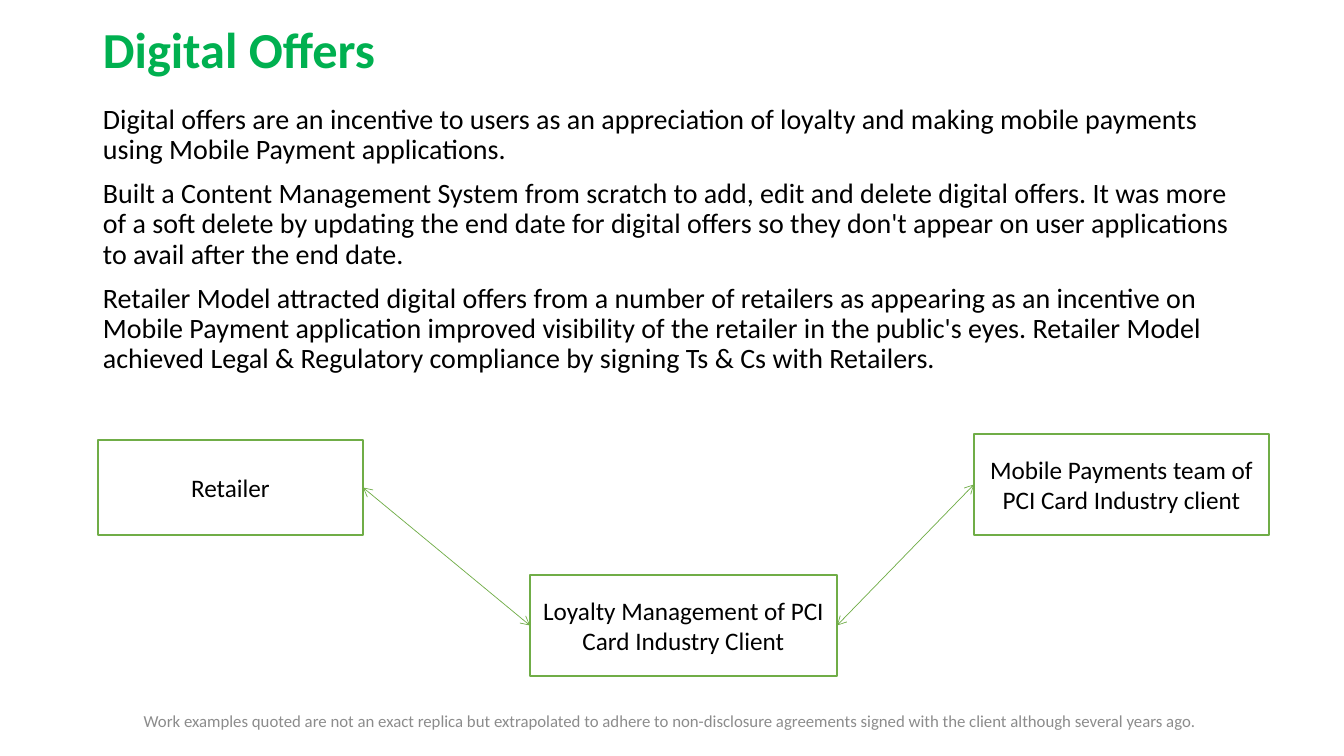
from lxml.etree import SubElement
from pptx import Presentation
from pptx.dml.color import RGBColor
from pptx.enum.shapes import MSO_CONNECTOR as Connector, MSO_SHAPE as Shape
from pptx.enum.text import MSO_ANCHOR as Anchor, PP_ALIGN as Align
from pptx.oxml.ns import qn
from pptx.util import Pt

WIDTH, HEIGHT = 1344, 756
SCALE = 12192000 / WIDTH
FONT = "Calibri"
COLORS = {"title": "00B050", "text": "000000", "note": "8C8C8C",
          "box": "FFFFFF", "line": "70AD47"}
LEFT, RIGHT = 1, 3

TITLE = "Digital Offers"
POINTS = [
    "Digital offers are an incentive to users as an appreciation of loyalty and "
    "making mobile payments using Mobile Payment applications. ",
    "Built a Content Management System from scratch to add, edit and delete digital "
    "offers. It was more of a soft delete by updating the end date for digital offers "
    "so they don't appear on user applications to avail after the end date.",
    "Retailer Model attracted digital offers from a number of retailers as appearing "
    "as an incentive on Mobile Payment application improved visibility of the retailer "
    "in the public's eyes. Retailer Model achieved Legal & Regulatory compliance by "
    "signing Ts & Cs with Retailers.",
]
DISCLAIMER = ("Work examples quoted are not an exact replica but extrapolated to adhere "
              "to non-disclosure agreements signed with the client although several "
              "years ago.")
PARTIES = {
    "loyalty": ("Loyalty Management of PCI Card Industry Client", (432, 141, 307, 101)),
    "retailer": ("Retailer", (0, 6, 265, 95)),
    "payments": ("Mobile Payments team of PCI Card Industry client", (876, 0, 295, 101)),
}
FLOWS = [("retailer", "loyalty"), ("loyalty", "payments")]


def emu(pixels):
    return round(pixels * SCALE)


def color(name):
    return RGBColor.from_string(COLORS[name])


def write(frame, paragraphs, size, tint="text", bold=False, align=Align.LEFT,
          anchor=Anchor.MIDDLE, spacing=1.0, before=0):
    frame.word_wrap = True
    frame.vertical_anchor = anchor
    for index, words in enumerate(paragraphs):
        paragraph = frame.add_paragraph() if index else frame.paragraphs[0]
        paragraph.alignment = align
        paragraph.line_spacing = spacing
        paragraph.space_before = Pt(before)
        run = paragraph.add_run()
        run.text = words
        run.font.name = FONT
        run.font.size = Pt(size)
        run.font.bold = bold
        run.font.color.rgb = color(tint)


def add_text(slide, box, paragraphs, size, **style):
    area = slide.shapes.add_textbox(*map(emu, box))
    write(area.text_frame, paragraphs, size, **style)


def add_heading(slide, box):
    add_text(slide, box, [TITLE], 36, tint="title", bold=True, spacing=0.9)


def add_points(slide, box):
    add_text(slide, box, POINTS, 20, anchor=Anchor.TOP, spacing=0.9, before=10)


def add_disclaimer(slide, box):
    add_text(slide, box, [DISCLAIMER], 12, tint="note", align=Align.CENTER)


def add_party(slide, box, label):
    party = slide.shapes.add_shape(Shape.RECTANGLE, *map(emu, box))
    party.shadow.inherit = False
    party.fill.solid()
    party.fill.fore_color.rgb = color("box")
    party.line.color.rgb = color("line")
    party.line.width = Pt(1)
    write(party.text_frame, [label], 18, align=Align.CENTER)
    return party


def add_flow(slide, source, target):
    flow = slide.shapes.add_connector(Connector.STRAIGHT, 0, 0, 0, 0)
    flow.begin_connect(source, RIGHT)
    flow.end_connect(target, LEFT)
    flow.line.color.rgb = color("line")
    flow.line.width = Pt(0.5)
    outline = flow.line._get_or_add_ln()
    for end in ("a:headEnd", "a:tailEnd"):
        SubElement(outline, qn(end), type="arrow")
    SubElement(flow._element.spPr, qn("a:effectLst"))


def add_diagram(slide, box):
    left, top = box[:2]
    parties = {
        key: add_party(slide, (left + x, top + y, width, height), label)
        for key, (label, (x, y, width, height)) in PARTIES.items()
    }
    for source, target in FLOWS:
        add_flow(slide, parties[source], parties[target])


def add_offers_slide(deck):
    slide = deck.slides.add_slide(deck.slide_layouts[6])
    add_heading(slide, (93, 11, 1159, 82))
    add_points(slide, (93, 100, 1159, 582))
    add_disclaimer(slide, (19, 701, 1303, 40))
    add_diagram(slide, (98, 434, 1171, 242))


deck = Presentation()
deck.slide_width, deck.slide_height = emu(WIDTH), emu(HEIGHT)
add_offers_slide(deck)
deck.save("out.pptx")
